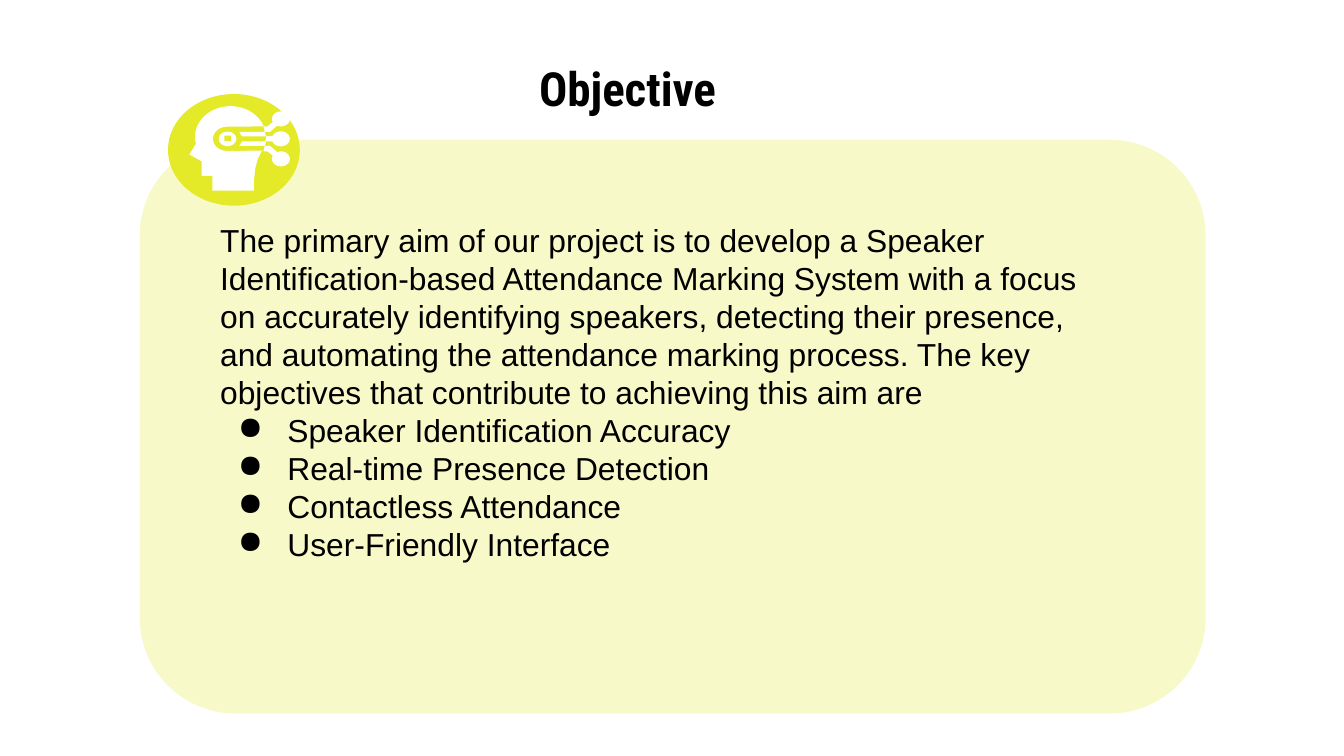
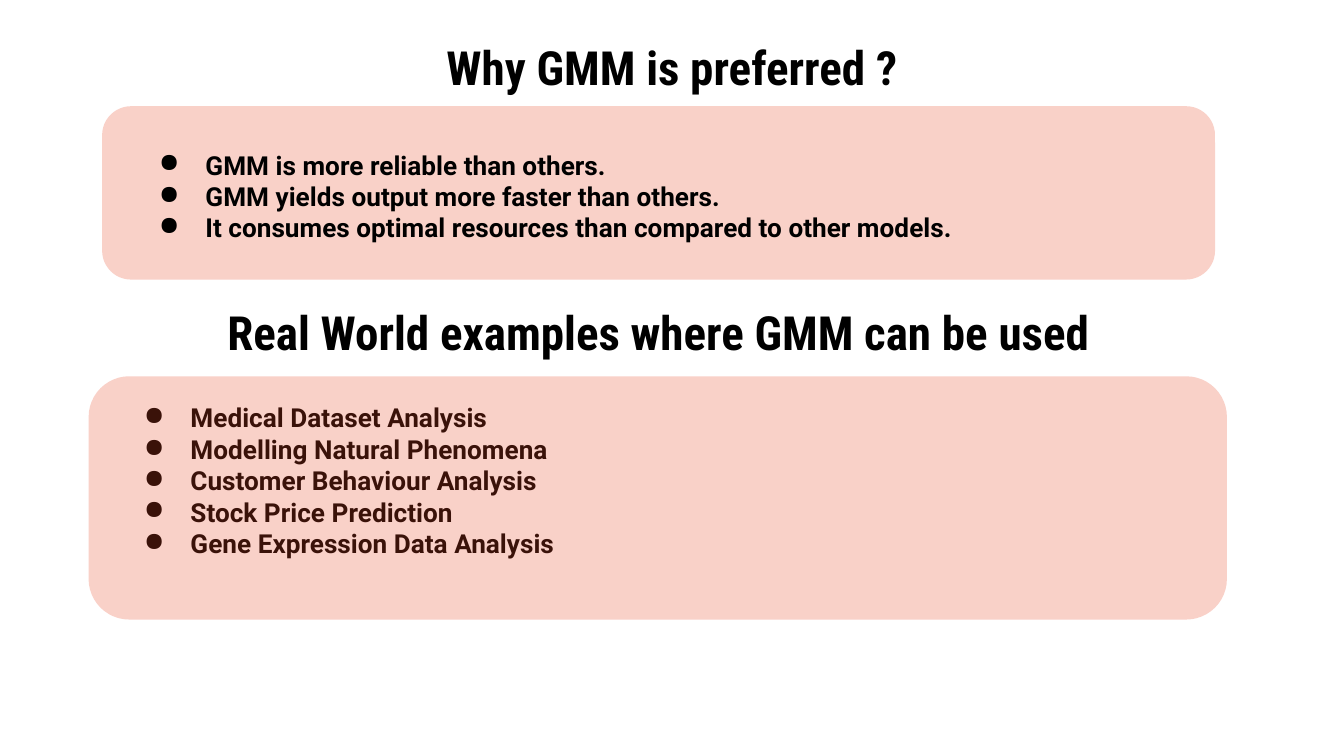
from dataclasses import dataclass
from math import cos, radians, sin

from lxml import etree
from pptx import Presentation
from pptx.dml.color import RGBColor
from pptx.enum.shapes import MSO_SHAPE
from pptx.enum.text import MSO_ANCHOR, PP_ALIGN
from pptx.oxml.ns import qn
from pptx.util import Pt

ROUNDED = MSO_SHAPE.ROUNDED_RECTANGLE
OVAL = MSO_SHAPE.OVAL
MIDDLE = MSO_ANCHOR.MIDDLE
TOP = MSO_ANCHOR.TOP
CENTER = PP_ALIGN.CENTER
LEFT = PP_ALIGN.LEFT


@dataclass(frozen=True)
class Theme:
    text: str = "000000"
    white: str = "FFFFFF"
    lime: str = "E4EA27"
    coral: str = "EA4827"
    card_opacity: int = 25
    card_corner: float = 0.167
    title_font: str = "Roboto Condensed"
    title_size: float = 25.2
    body_font: str = "Arial"
    body_size: int = 17
    list_font: str = "Roboto"
    list_size: int = 14
    inset: float = 7.2
    bullet_margin: int = 36


THEME = Theme()
SLIDE_SIZE = (720, 405)
TITLE_SIZE = (648, 29.5)

OBJECTIVE = {
    "title": ("Objective", 12.24, 32.4),
    "card": (74.9, 74.9, 571, 307.4),
    "badge": (90, 50.4, 70.6, 59.8),
    "body": (110.9, 110.9, 489.6, 219.6),
    "intro": "The primary aim of our project is to develop a Speaker "
             "Identification-based Attendance Marking System with a focus on "
             "accurately identifying speakers, detecting their presence, and "
             "automating the attendance marking process. The key objectives "
             "that contribute to achieving this aim are",
    "bullets": [
        "Speaker Identification Accuracy",
        "Real-time Presence Detection",
        "Contactless Attendance",
        "User-Friendly Interface",
    ],
}

PREFERRED = {
    "title": ("Why GMM is preferred ?", 36, 20.9),
    "card": (54.7, 56.9, 596.2, 92.9),
    "body": (67, 72.7, 571.7, 180),
    "bullets": [
        "GMM is more reliable than others.",
        "GMM yields output more faster than others.",
        "It consumes optimal resources than compared to other models.",
    ],
}

EXAMPLES = {
    "title": ("Real World examples where GMM can be used", 28.8, 162.7),
    "card": (47.5, 201.6, 609.8, 130.3),
    "body": (59, 208.1, 571.7, 180),
    "bullets": [
        "Medical Dataset Analysis",
        "Modelling Natural Phenomena",
        "Customer Behaviour Analysis",
        "Stock Price Prediction",
        "Gene Expression Data Analysis",
    ],
}

ICON_AXIS = 74.4
NODE_X, NODE_GAP = 150.5, 10.7
NODE_RADII = (4.8, 4)
FACE = [(101.5, 82.8), (108, 86.4), (108, 94.3), (113.8, 94.3), (113.8, 102.2),
        (136.1, 102.2), (136.1, 96.5), (136.8, 90), (138.2, 85), (140.4, 80.7)]
PUPIL = [(120.2, 72.7), (123.8, 72.7), (123.8, 75.6), (120.2, 75.6)]
UPPER_WIRE = [(128.2, 70.6), (129.6, 73), (142.6, 73), (141.8, 70.6)]
UPPER_LINK = [(143.3, 67.7), (141.1, 67.7), (141.8, 70.6), (144.7, 70.6)]
MIDDLE_LINK = [(141.8, 75.8), (142.6, 74.4), (142.6, 73)]


def lengths(values):
    return [Pt(value) for value in values]


def arc(center, radii, start, end, steps=28):
    angles = [radians(start + (end - start) * step / steps) for step in range(steps + 1)]
    return [(center[0] + radii[0] * cos(angle), center[1] + radii[1] * sin(angle))
            for angle in angles]


def mirrored(points):
    return [(x, 2 * ICON_AXIS - y) for x, y in points]


def paint(shape, color, opacity=100):
    shape.shadow.inherit = False
    shape.fill.solid()
    shape.fill.fore_color.rgb = RGBColor.from_string(color)
    shape.line.fill.background()
    if opacity < 100:
        color_node = shape.fill._xPr.find(qn("a:solidFill"))[0]
        etree.SubElement(color_node, qn("a:alpha"), val=str(opacity * 1000))


def add_outline(group, *contours):
    first, *others = [[tuple(lengths(point)) for point in contour] for contour in contours]
    builder = group.shapes.build_freeform(*first[0])
    builder.add_line_segments(first[1:], close=True)
    for contour in others:
        builder.move_to(*contour[0])
        builder.add_line_segments(contour[1:], close=True)
    paint(builder.convert_to_shape(), THEME.white)


def add_card(slide, box, color):
    card = slide.shapes.add_shape(ROUNDED, *lengths(box))
    card.adjustments[0] = THEME.card_corner
    paint(card, color, THEME.card_opacity)


def add_badge(slide, box):
    paint(slide.shapes.add_shape(OVAL, *lengths(box)), THEME.lime)
    group = slide.shapes.add_group_shape()
    skull = arc((123.5, 73.4), (19, 16.5), -20, -193)
    slot = arc((121.7, ICON_AXIS), (7.6, 6.5), 90, 270)
    upper_node = arc((NODE_X, ICON_AXIS - NODE_GAP), NODE_RADII, 115, -205)
    middle_node = arc((NODE_X, ICON_AXIS), NODE_RADII, -160, 160)
    upper_plug = upper_node + UPPER_LINK
    add_outline(group, skull + FACE + slot)
    add_outline(group, arc((121.9, ICON_AXIS), (4.7, 3.9), 360, 0), PUPIL)
    add_outline(group, middle_node + MIDDLE_LINK)
    for part in (UPPER_WIRE, upper_plug):
        add_outline(group, part)
        add_outline(group, mirrored(part))


def add_text_frame(slide, box, anchor):
    frame = slide.shapes.add_textbox(*lengths(box)).text_frame
    frame.word_wrap = True
    frame.vertical_anchor = anchor
    frame.margin_left = frame.margin_right = Pt(THEME.inset)
    frame.margin_top = frame.margin_bottom = Pt(THEME.inset)
    return frame


def add_run(paragraph, text, font, size, bold):
    run = paragraph.add_run()
    run.text = text
    run.font.name = font
    run.font.size = Pt(size)
    run.font.bold = bold
    run.font.color.rgb = RGBColor.from_string(THEME.text)


def add_bullet(paragraph, hanging):
    properties = paragraph._p.get_or_add_pPr()
    properties.set("marL", str(Pt(THEME.bullet_margin)))
    properties.set("indent", str(-Pt(hanging)))
    bullet_color = etree.SubElement(properties, qn("a:buClr"))
    etree.SubElement(bullet_color, qn("a:srgbClr"), val=THEME.text)
    etree.SubElement(properties, qn("a:buChar"), char="●")


def add_title(slide, text, left, top):
    frame = add_text_frame(slide, (left, top, *TITLE_SIZE), MIDDLE)
    paragraph = frame.paragraphs[0]
    paragraph.alignment = CENTER
    add_run(paragraph, text, THEME.title_font, THEME.title_size, True)


def add_body(slide, section, font, size, bold, hanging):
    frame = add_text_frame(slide, section["body"], TOP)
    entries = [(text, True) for text in section["bullets"]]
    if "intro" in section:
        entries.insert(0, (section["intro"], False))
    for index, (text, bulleted) in enumerate(entries):
        paragraph = frame.add_paragraph() if index else frame.paragraphs[0]
        paragraph.alignment = LEFT
        if bulleted:
            add_bullet(paragraph, hanging)
        add_run(paragraph, text, font, size, bold)


def add_list(slide, section):
    add_body(slide, section, THEME.list_font, THEME.list_size, True, 25)


def build_objective(slide):
    add_title(slide, *OBJECTIVE["title"])
    add_card(slide, OBJECTIVE["card"], THEME.lime)
    add_badge(slide, OBJECTIVE["badge"])
    add_body(slide, OBJECTIVE, THEME.body_font, THEME.body_size, False, 26.5)


def build_gmm(slide):
    add_title(slide, *PREFERRED["title"])
    add_card(slide, PREFERRED["card"], THEME.coral)
    add_list(slide, PREFERRED)
    add_title(slide, *EXAMPLES["title"])
    add_list(slide, EXAMPLES)
    add_card(slide, EXAMPLES["card"], THEME.coral)


def main():
    presentation = Presentation()
    presentation.slide_width, presentation.slide_height = lengths(SLIDE_SIZE)
    for build in (build_objective, build_gmm):
        build(presentation.slides.add_slide(presentation.slide_layouts[6]))
    presentation.save("out.pptx")


if __name__ == "__main__":
    main()
